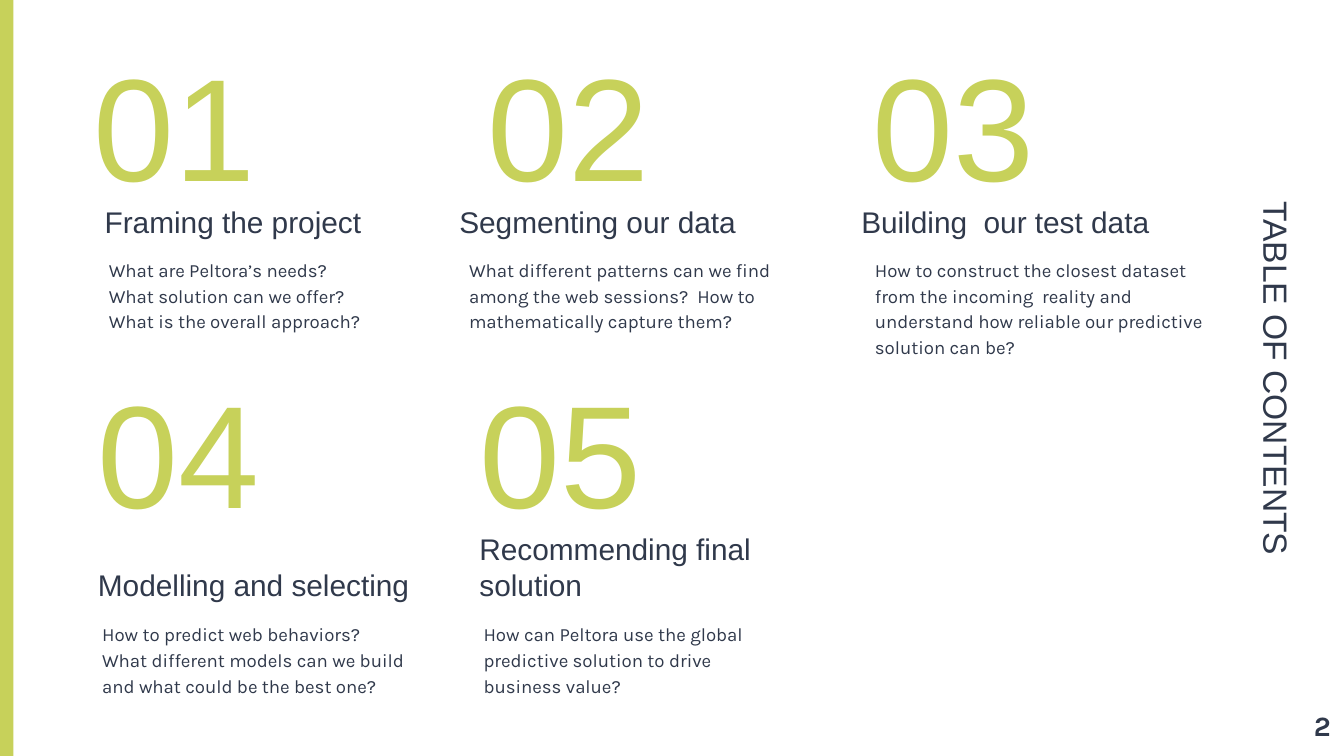
"""Build a table of contents slide with five numbered topics."""
from dataclasses import dataclass

from lxml import etree
from pptx import Presentation
from pptx import util as u
from pptx.dml import color
from pptx.enum import shapes, text
from pptx.oxml import ns

HUES = {"lime": "C7D15A", "ink": "30394B", "white": "FFFFFF"}
INSET = u.Pt(7.2)


@dataclass
class Topic:
    label: str
    head: str
    note: str
    num_x: float
    head_x: float
    head_w: float
    note_x: float
    note_w: float
    top: float
    head_y: float
    note_y: float


TOP = (43.2, 104.4, 129.6)
LOW = (218.6, 298.8, 324.7)
TOPICS = [
    Topic("01", "Framing the project",
          "What are Peltora’s needs?\nWhat solution can we offer?\nWhat is the overall approach?",
          43.2, 49, 183, 51.1, 165.6, *TOP),
    Topic("02", "Segmenting our data",
          "What different patterns can we find among the web sessions?  How to mathematically capture them?",
          254.2, 239, 226.8, 244.1, 183, *TOP),
    Topic("03", "Building  our test data",
          "How to construct the closest dataset from the incoming  reality and understand how reliable our predictive solution can be?",
          460.1, 454.3, 216.7, 461.5, 190.1, *TOP),
    Topic("04", "Modelling and selecting",
          "How to predict web behaviors? What different models can we build and what could be the best one?",
          45.4, 45.4, 198.7, 47.5, 177.1, *LOW),
    Topic("05", "Recommending final solution",
          "How can Peltora use the global predictive solution to drive business value?",
          249.8, 249.8, 198.7, 252, 158.4, *LOW),
]


def place(shape, x: float, y: float, w: float, h: float):
    shape.left, shape.top, shape.width, shape.height = map(u.Pt, (x, y, w, h))
    return shape


def write(shape, words: str, *, size: float, font: str = "Arial", hue: str = "ink",
          bold: bool = False, align=text.PP_ALIGN.LEFT,
          anchor=text.MSO_ANCHOR.TOP, line: float = 1.0) -> None:
    frame = shape.text_frame
    frame.text = words
    frame.word_wrap = True
    frame.auto_size = text.MSO_AUTO_SIZE.NONE
    frame.vertical_anchor = anchor
    frame.margin_left = frame.margin_right = INSET
    frame.margin_top = frame.margin_bottom = INSET
    for para in frame.paragraphs:
        para.alignment = align
        para.line_spacing = line
        para.space_before = para.space_after = u.Pt(0)
        props = para._p.get_or_add_pPr()
        props.set("marL", "0")
        props.set("indent", "0")
        etree.SubElement(props, ns.qn("a:buNone"))
        for run in para.runs:
            run.font.name = font
            run.font.size = u.Pt(size)
            run.font.bold = bold
            run.font.color.rgb = color.RGBColor.from_string(HUES[hue])


def block(slide, x: float, y: float, w: float, h: float, hue: str):
    shape = slide.shapes.add_shape(shapes.MSO_SHAPE.RECTANGLE, *map(u.Pt, (x, y, w, h)))
    shape.shadow.inherit = False
    shape.fill.solid()
    shape.fill.fore_color.rgb = color.RGBColor.from_string(HUES[hue])
    shape.line.fill.background()
    return shape


def box(slide, x: float, y: float, w: float, h: float):
    return slide.shapes.add_textbox(*map(u.Pt, (x, y, w, h)))


def draw(slide, topic: Topic, body) -> None:
    write(box(slide, topic.num_x, topic.top, 138.2, 45.4), topic.label,
          size=78, hue="lime", anchor=text.MSO_ANCHOR.MIDDLE)
    write(box(slide, topic.head_x, topic.head_y, topic.head_w, 31), topic.head,
          size=16, anchor=text.MSO_ANCHOR.BOTTOM)
    body = body or box(slide, 0, 0, 72, 72)
    write(place(body, topic.note_x, topic.note_y, topic.note_w, 60), topic.note,
          size=10, font="Karla", line=1.15)


def main() -> None:
    deck = Presentation()
    deck.slide_width, deck.slide_height = u.Pt(720), u.Pt(405)
    slide = deck.slides.add_slide(deck.slide_layouts[4])
    title = place(slide.shapes.title, 562.3, 169.2, 274.3, 67)
    title.rotation = 90
    write(title, "TABLE OF CONTENTS", size=18, align=text.PP_ALIGN.CENTER,
          anchor=text.MSO_ANCHOR.BOTTOM)
    block(slide, 0, 0, 7.2, 405, "lime")
    bodies = iter([item for item in slide.placeholders if item.placeholder_format.idx in range(1, 5)])
    for topic in TOPICS:
        draw(slide, topic, next(bodies, None))
    write(block(slide, 687.6, 372.2, 32.4, 28.1, "white"), "2", size=15,
          font="Karla", bold=True, align=text.PP_ALIGN.RIGHT)
    deck.save("out.pptx")


if __name__ == "__main__":
    main()
